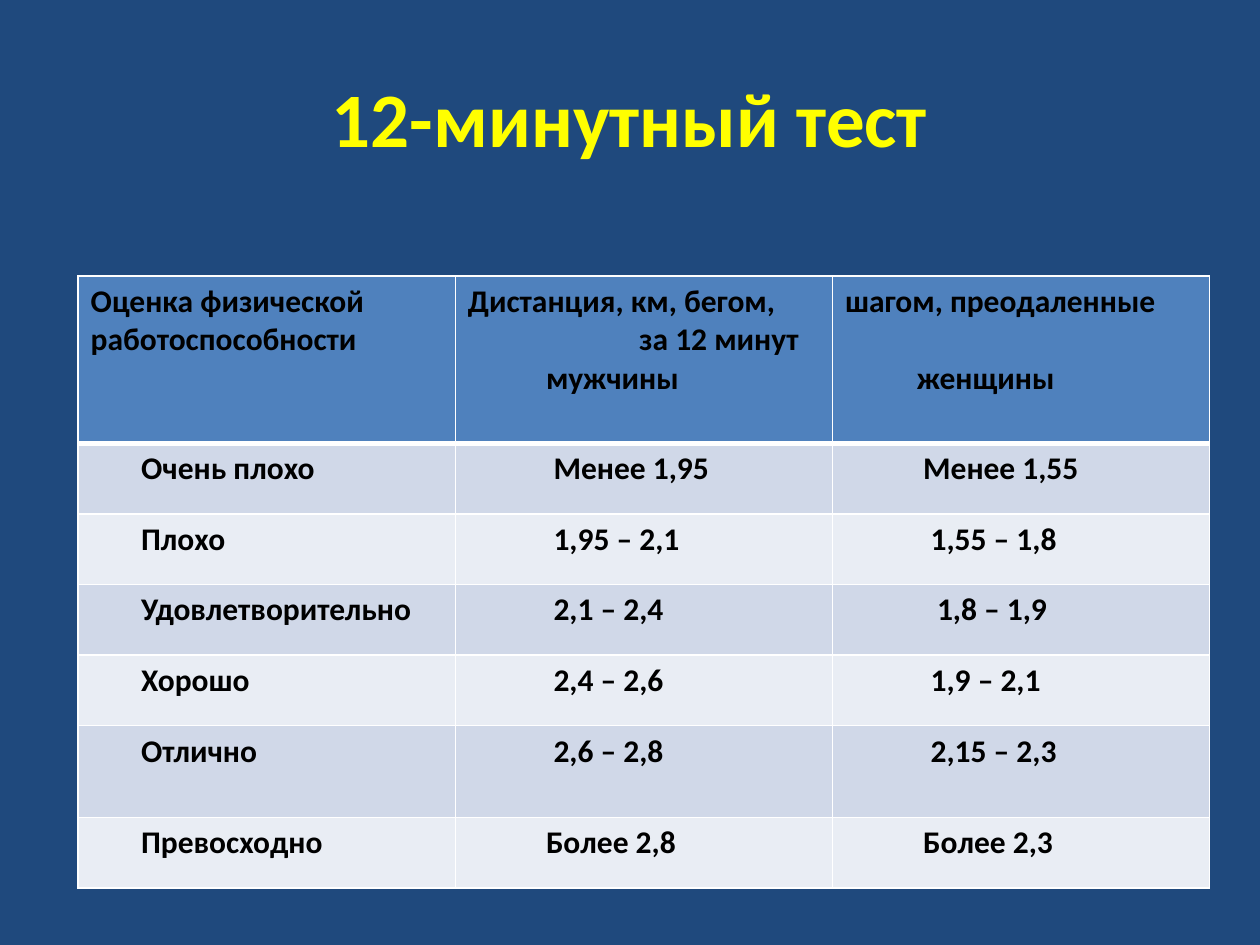
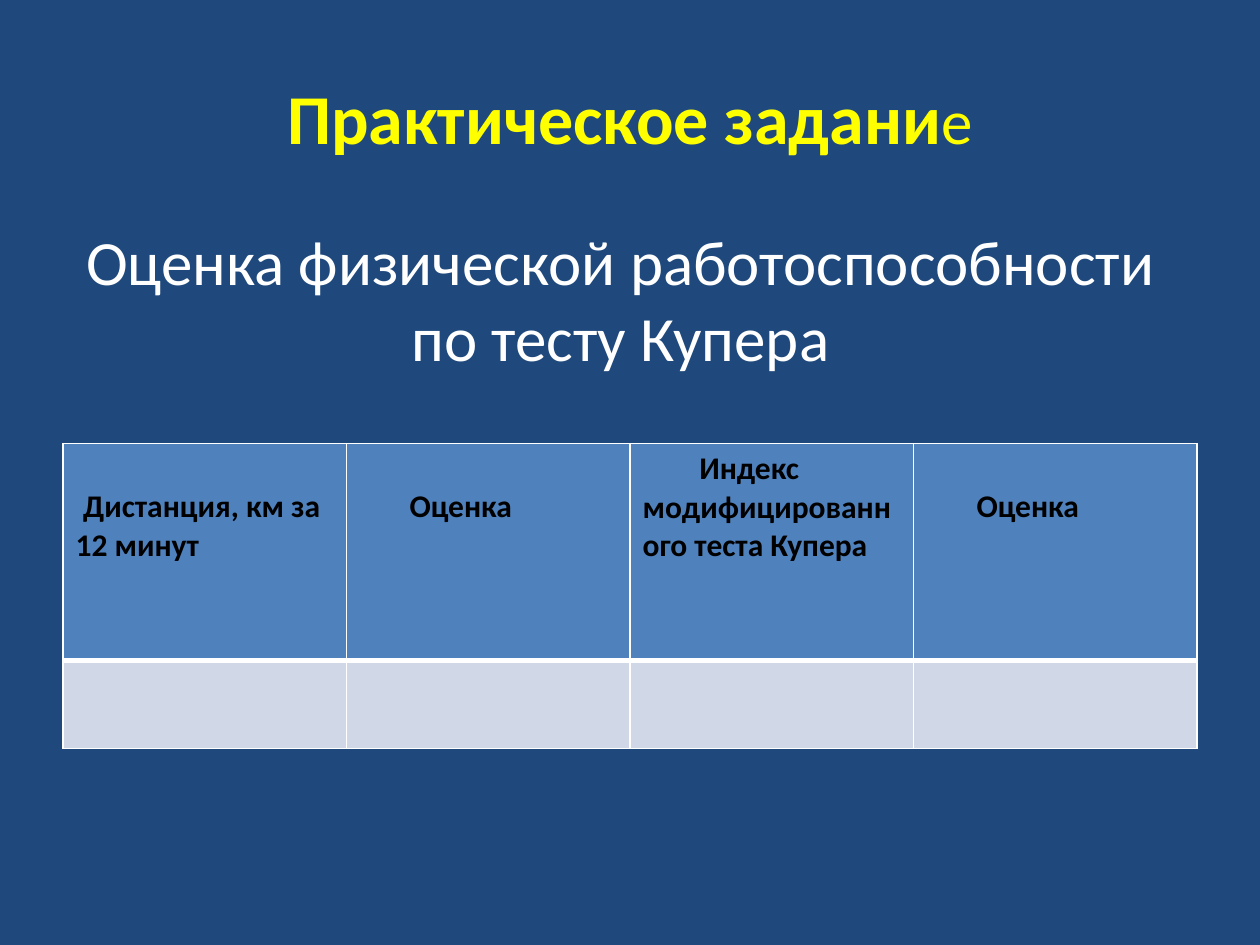
"""Build two slides about the Cooper fitness test."""
from dataclasses import dataclass

import lxml.etree
import pptx
import pptx.dml.color
import pptx.enum.text
import pptx.oxml.ns
import pptx.util
from pptx.util import Inches

FONT = "Calibri"
NAVY, YELLOW, WHITE, BLACK = "1F497D", "FFFF00", "FFFFFF", "000000"
HEADER_FILL = "4F81BD"
BAND_FILLS = ("D0D8E8", "E9EDF4")
THIN, THICK = 1, 3
CENTER = pptx.enum.text.PP_ALIGN.CENTER
MIDDLE = pptx.enum.text.MSO_ANCHOR.MIDDLE


@dataclass(frozen=True)
class Line:
    """One paragraph of a cell, with its first-line indent in inches."""
    text: str
    indent: float = 0
    before: float = 0


@dataclass(frozen=True)
class Cell:
    """The paragraphs of one table cell and its top margin in inches."""
    lines: tuple[Line, ...] = ()
    top: float = 0.05


@dataclass(frozen=True)
class Grid:
    """A table with equal columns, a header row and banded body rows."""
    left: float
    top: float
    width: float
    heights: tuple[float, ...]
    rows: list[list[Cell]]


def color(value: str) -> pptx.dml.color.RGBColor:
    """Turn a hex string into a colour."""
    return pptx.dml.color.RGBColor.from_string(value)


def add_text(para, text: str, *, size: float, fill: str, bold: bool = False) -> None:
    """Add a formatted span of text to a paragraph."""
    span = para.add_run()
    span.text = text
    span.font.name = FONT
    span.font.size = pptx.util.Pt(size)
    span.font.bold = bold
    span.font.color.rgb = color(fill)


def add_page(deck, title: str, size: float):
    """Add a navy page with a bold yellow title and return both."""
    page = deck.slides.add_slide(deck.slide_layouts[5])
    page.background.fill.solid()
    page.background.fill.fore_color.rgb = color(NAVY)
    heading = page.shapes.title
    heading.left, heading.top = Inches(0.5), Inches(0.3)
    heading.width, heading.height = Inches(9), Inches(1.25)
    heading.text_frame.vertical_anchor = MIDDLE
    para = heading.text_frame.paragraphs[0]
    para.alignment = CENTER
    add_text(para, title, size=size, fill=YELLOW, bold=True)
    return page, para


def set_borders(cell, top: float, bottom: float) -> None:
    """Draw white lines on the four sides of a cell."""
    properties = cell._tc.get_or_add_tcPr()
    widths = {"a:lnL": THIN, "a:lnR": THIN, "a:lnT": top, "a:lnB": bottom}
    for place, (tag, width) in enumerate(widths.items()):
        line = lxml.etree.Element(pptx.oxml.ns.qn(tag), w=str(pptx.util.Pt(width)))
        solid = lxml.etree.SubElement(line, pptx.oxml.ns.qn("a:solidFill"))
        lxml.etree.SubElement(solid, pptx.oxml.ns.qn("a:srgbClr"), val=WHITE)
        properties.insert(place, line)


def fill_cell(cell, content: Cell) -> None:
    """Write the paragraphs of a cell."""
    cell.margin_top = Inches(content.top)
    for index, line in enumerate(content.lines):
        frame = cell.text_frame
        para = frame.add_paragraph() if index else frame.paragraphs[0]
        para._p.get_or_add_pPr().set("indent", str(Inches(line.indent)))
        if line.before:
            para.space_before = pptx.util.Pt(line.before)
        add_text(para, line.text, size=18, fill=BLACK, bold=True)


def add_grid(page, grid: Grid) -> None:
    """Draw a grid as a real table."""
    columns = len(grid.rows[0])
    table = page.shapes.add_table(
        len(grid.rows), columns, Inches(grid.left), Inches(grid.top),
        Inches(grid.width), Inches(sum(grid.heights))).table
    for column in table.columns:
        column.width = Inches(grid.width / columns)
    for index, (height, contents) in enumerate(zip(grid.heights, grid.rows)):
        table.rows[index].height = Inches(height)
        fill = BAND_FILLS[(index - 1) % 2] if index else HEADER_FILL
        for position, content in enumerate(contents):
            cell = table.cell(index, position)
            cell.fill.solid()
            cell.fill.fore_color.rgb = color(fill)
            set_borders(cell, THICK if index == 1 else THIN, THIN if index else THICK)
            fill_cell(cell, content)


def add_norms_page(deck) -> None:
    """Add the page with the norms of the test."""
    page, _ = add_page(deck, "12-минутный тест", 44)
    header = [
        Cell((Line("Оценка физической работоспособности"),)),
        Cell((Line("Дистанция, км, бегом,"), Line("за 12 минут", 1.36),
              Line("мужчины", 0.62))),
        Cell((Line("шагом, преодаленные"), Line("женщины", 0.57, before=22))),
    ]
    norms = [
        (("Очень плохо", 0.4), ("Менее 1,95", 0.68), ("Менее 1,55", 0.62)),
        (("Плохо", 0.4), ("1,95 – 2,1", 0.68), ("1,55 – 1,8", 0.68)),
        (("Удовлетворительно", 0.4), ("2,1 – 2,4", 0.68), ("1,8 – 1,9", 0.73)),
        (("Хорошо", 0.4), ("2,4 – 2,6", 0.68), ("1,9 – 2,1", 0.68)),
        (("Отлично", 0.4), ("2,6 – 2,8", 0.68), ("2,15 – 2,3", 0.68)),
        (("Превосходно", 0.4), ("Более 2,8", 0.62), ("Более 2,3", 0.62)),
    ]
    body = [[Cell((Line(text, indent),)) for text, indent in norm] for norm in norms]
    heights = (1.33, 0.56, 0.56, 0.56, 0.56, 0.73, 0.56)
    add_grid(page, Grid(0.62, 2.19, 8.98, heights, [header, *body]))


def add_task_page(deck) -> None:
    """Add the page with the practical task."""
    page, heading = add_page(deck, "Практическое задани", 40)
    add_text(heading, "е", size=36, fill=YELLOW)
    grade = Cell((Line("Оценка", 0.4),), top=0.35)
    header = [
        Cell((Line("Дистанция, км за 12 минут", 0.06),), top=0.35),
        grade,
        Cell((Line("Индекс модифицированного теста Купера", 0.45),)),
        grade,
    ]
    add_grid(page, Grid(0.5, 3.52, 9, (1.72, 0.7), [header, [Cell()] * len(header)]))
    box = page.shapes.add_textbox(Inches(0.35), Inches(1.72), Inches(9.15), Inches(1.31))
    box.text_frame.word_wrap = True
    para = box.text_frame.paragraphs[0]
    para.alignment = CENTER
    add_text(para, "Оценка физической работоспособности по тесту Купера",
             size=36, fill=WHITE)


def main() -> None:
    """Build and save the deck."""
    deck = pptx.Presentation()
    deck.slide_width, deck.slide_height = Inches(10), Inches(7.5)
    add_norms_page(deck)
    add_task_page(deck)
    deck.save("out.pptx")


if __name__ == "__main__":
    main()
